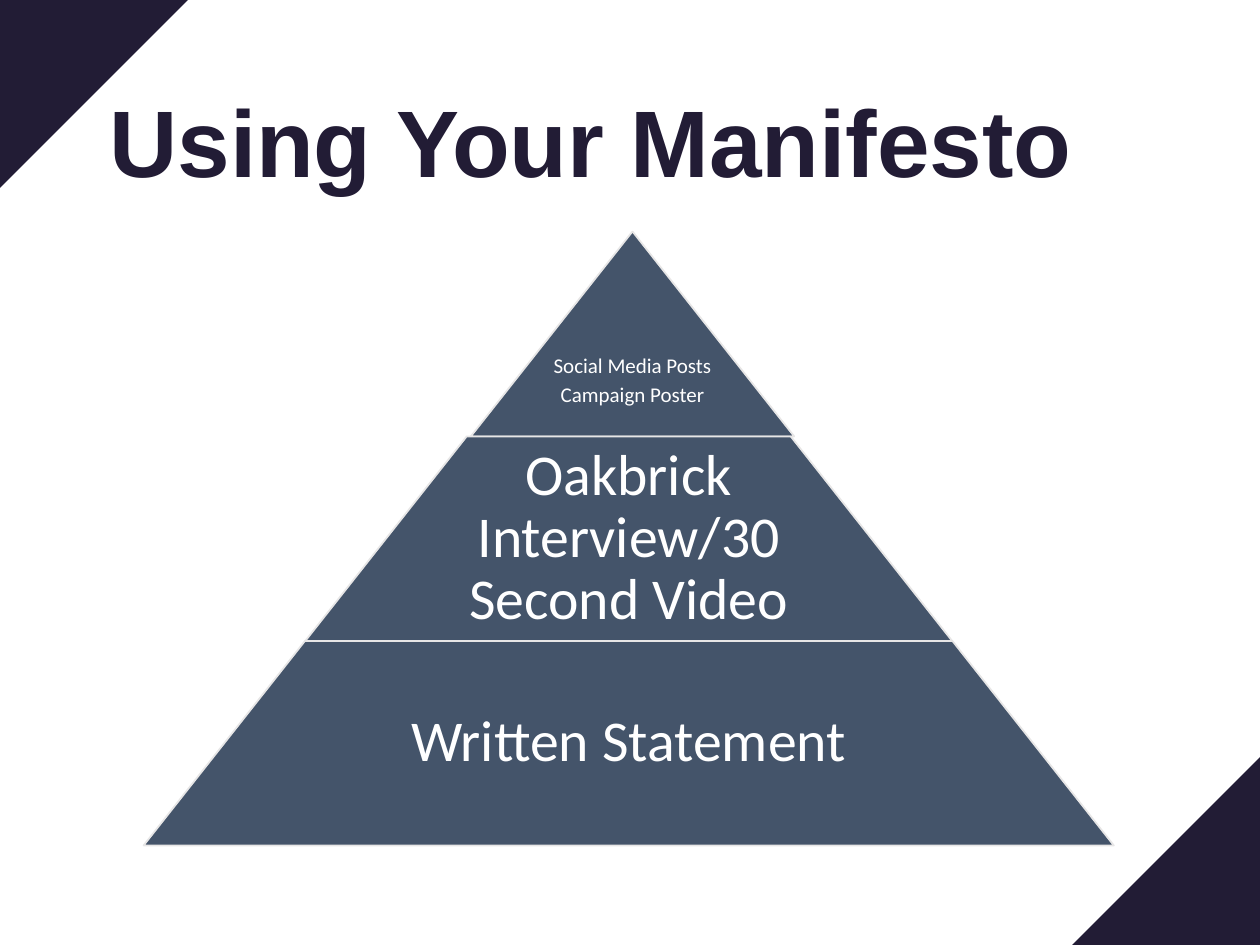
from pptx import Presentation
from pptx.dml.color import RGBColor
from pptx.enum.shapes import MSO_SHAPE as Shape
from pptx.enum.text import MSO_ANCHOR as Anchor, PP_ALIGN as Align
from pptx.util import Inches, Pt

NAVY = RGBColor(0x22, 0x1C, 0x35)
SLATE = RGBColor(0x44, 0x54, 0x6A)
MIST = RGBColor(0xE7, 0xE6, 0xE6)
WHITE = RGBColor(0xFF, 0xFF, 0xFF)

SLIDE_W, SLIDE_H = 10, 7.5
CORNER = 1.49
SLOPE = 0.789  # inset of each sloping side, as a share of the tier height

# Tiers from the top: lines, size, inset, bottom inset, anchor, sideways shift
TIERS = [
    (["Social Media Posts", "Campaign Poster"], 12, 0.02, 0.23, Anchor.BOTTOM, 0.03),
    (["Oakbrick Interview/30 Second Video"], 33, 0.05, 0.05, Anchor.MIDDLE, 0),
    (["Written Statement"], 33, 0.05, 0.05, Anchor.MIDDLE, 0),
]


def add_solid(slide, kind, box, fill):
    solid = slide.shapes.add_shape(kind, *map(Inches, box))
    solid.shadow.inherit = False
    solid.fill.solid()
    solid.fill.fore_color.rgb = fill
    return solid


def add_text(slide, box, lines, font_format, align, anchor, insets):
    frame = slide.shapes.add_textbox(*map(Inches, box)).text_frame
    frame.word_wrap = True
    frame.vertical_anchor = anchor
    for side, inset in insets.items():
        setattr(frame, f"margin_{side}", Inches(inset))
    for i, line in enumerate(lines):
        paragraph = frame.paragraphs[0] if i == 0 else frame.add_paragraph()
        paragraph.alignment = align
        paragraph.line_spacing = 0.9
        if i:
            paragraph.space_before = Pt(4)
        run = paragraph.add_run()
        run.text = line
        run.font.color.rgb = font_format["color"]
        for name in ("name", "size", "bold"):
            setattr(run.font, name, font_format[name])


def add_corners(slide, width, height):
    """Dark triangles in the top left and bottom right corners."""
    for left, top, turn in ((0, 0, 90), (width - CORNER, height - CORNER, 270)):
        corner = add_solid(slide, Shape.RIGHT_TRIANGLE, (left, top, CORNER, CORNER), NAVY)
        corner.line.fill.background()
        corner.rotation = turn


def add_title(slide, box):
    title_format = {"name": "Arial", "size": Pt(54), "bold": True, "color": NAVY}
    add_text(slide, box, ["Using Your Manifesto"], title_format, Align.LEFT, Anchor.BOTTOM,
             {"left": 0.1, "right": 0.1, "top": 0.05, "bottom": 0.05})


def add_pyramid(slide, left, top, width, height):
    """Equal tiers, each wider than the one above by the width of the top tier."""
    count = len(TIERS)
    tier_h = height / count
    for row, (lines, size, inset, bottom, anchor, shift) in enumerate(TIERS):
        tier_w = width * (row + 1) / count
        tier_left = left + (width - tier_w) / 2 + shift
        tier_top = top + row * tier_h
        tier = add_solid(slide, Shape.TRAPEZOID, (tier_left, tier_top, tier_w, tier_h), SLATE)
        tier.adjustments[0] = SLOPE
        tier.line.color.rgb = MIST
        tier.line.width = Pt(1)

        # Lower tiers keep their text inside the middle 65 percent
        label_w = tier_w * (0.65 if row else 1)
        label_left = tier_left + (tier_w - label_w) / 2
        label_format = {"name": "Calibri", "size": Pt(size), "bold": False, "color": WHITE}
        add_text(slide, (label_left, tier_top, label_w, tier_h), lines, label_format,
                 Align.CENTER, anchor,
                 {"left": inset, "right": inset, "top": inset, "bottom": bottom})


def main():
    deck = Presentation()
    deck.slide_width, deck.slide_height = Inches(SLIDE_W), Inches(SLIDE_H)
    slide = deck.slides.add_slide(deck.slide_layouts[6])
    add_corners(slide, SLIDE_W, SLIDE_H)
    add_title(slide, (0.77, 0.6, 8.46, 1.02))
    add_pyramid(slide, 1.14, 1.84, 7.7, 4.87)
    deck.save("out.pptx")


if __name__ == "__main__":
    main()
